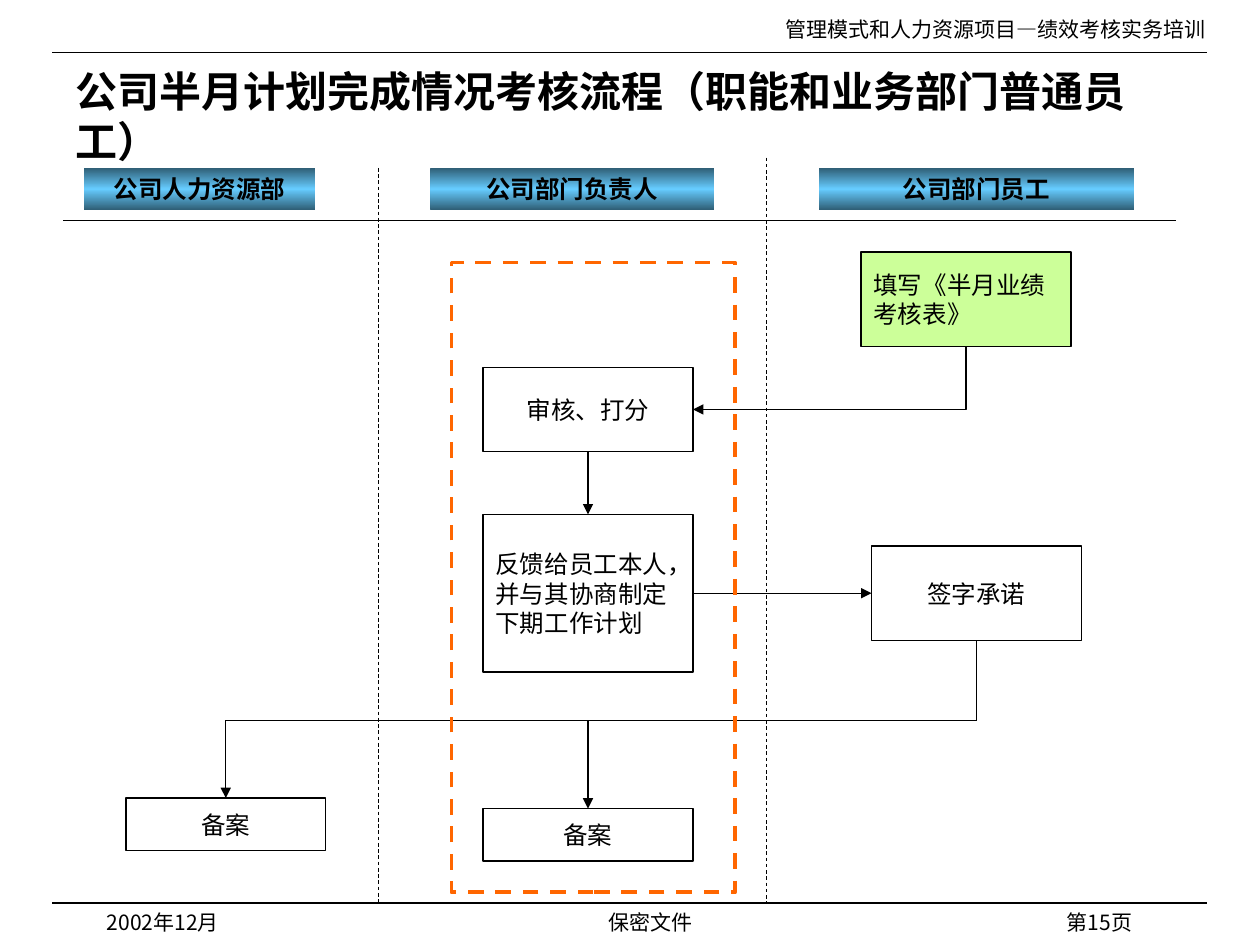
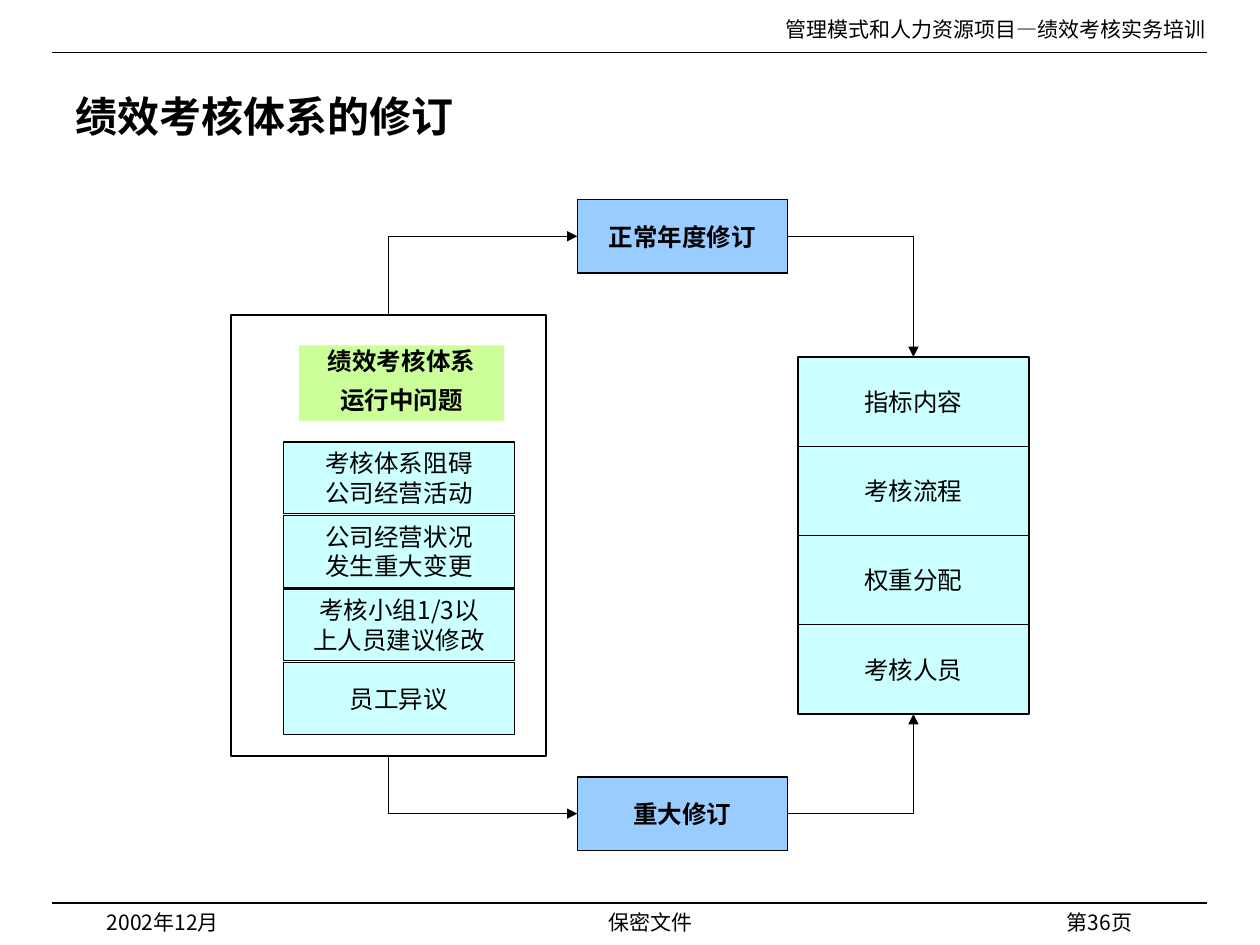
from copy import deepcopy

from lxml.etree import SubElement
from pptx import Presentation
from pptx.dml.color import RGBColor
from pptx.enum.dml import MSO_LINE
from pptx.enum.shapes import MSO_CONNECTOR, MSO_SHAPE
from pptx.enum.text import MSO_ANCHOR, PP_ALIGN
from pptx.oxml.ns import qn
from pptx.util import Inches, Pt

COLORS = {
    "ink": "000000", "green": "CCFF99", "cyan": "CCFFFF", "blue": "99CCFF",
    "band_edge": "2F5E75", "band_middle": "66CCFF", "orange": "FF6600",
}
SERIF, SANS = "Times New Roman", "Noto Sans CJK SC"
LEFT, CENTER, RIGHT = PP_ALIGN.LEFT, PP_ALIGN.CENTER, PP_ALIGN.RIGHT
TOP_SITE, LEFT_SITE, BOTTOM_SITE, RIGHT_SITE = range(4)
COLUMNS, ROWS = 120, 90
WIDTH, HEIGHT = Inches(10), Inches(7.5)

HEADER = "管理模式和人力资源项目—绩效考核实务培训"
DATE, NOTICE = "2002年12月", "保密文件"
TITLE_AREA = (6, 7, 107, 8)
FRAME_RULES = [(5, 5, 115, 5), (5, 86, 115, 86)]

PROCESS = {
    "title": "公司半月计划完成情况考核流程（职能和业务部门普通员工）",
    "page": 15,
    "lanes": [
        ("公司人力资源部", (8, 16, 22, 4)),
        ("公司部门负责人", (41, 16, 27, 4)),
        ("公司部门员工", (78, 16, 30, 4)),
    ],
    "lane_rule": (6, 21, 112, 21),
    "dividers": [(36, 16, 36, 86), (73, 15, 73, 86)],
    "steps": {
        "form": ("填写《半月业绩考核表》", (82, 24, 20, 9), LEFT, "green"),
        "review": ("审核、打分", (46, 35, 20, 8), CENTER, None),
        "feedback": ("反馈给员工本人，并与其协商制定下期工作计划", (46, 49, 20, 15), LEFT, None),
        "signature": ("签字承诺", (83, 52, 20, 9), CENTER, None),
        "staff_file": ("备案", (12, 76, 19, 5), CENTER, None),
        "head_file": ("备案", (46, 77, 20, 5), CENTER, None),
    },
    "arrows": [
        ("form", BOTTOM_SITE, "review", RIGHT_SITE),
        ("review", BOTTOM_SITE, "feedback", TOP_SITE),
        ("feedback", RIGHT_SITE, "signature", LEFT_SITE),
        ("signature", BOTTOM_SITE, "staff_file", TOP_SITE),
        ("signature", BOTTOM_SITE, "head_file", TOP_SITE),
    ],
    "bus_row": 68.6,
    "focus": (43, 25, 27, 60),
}

REVISION = {
    "title": "绩效考核体系的修订",
    "page": 36,
    "contents": ["指标内容", "考核流程", "权重分配", "考核人员"],
    "contents_area": (76, 34, 22, 8.5),
    "revisions": {
        "annual": ("正常年度修订", (55, 19, 20, 7)),
        "major": ("重大修订", (55, 74, 20, 7)),
    },
    "problem_frame": (22, 30, 30, 42),
    "problem_title": ["绩效考核体系", "运行中问题"],
    "problem_title_area": (28.5, 32.9, 19.5, 7.2),
    "problems": [
        ["考核体系阻碍", "公司经营活动"],
        ["公司经营状况", "发生重大变更"],
        ["考核小组1/3以", "上人员建议修改"],
        ["员工异议"],
    ],
    "problem_area": (27, 42.1, 22, 6.83),
    "problem_step": 7,
    "arrows": [
        ("problems", BOTTOM_SITE, "major", LEFT_SITE),
        ("major", RIGHT_SITE, "last_content", BOTTOM_SITE),
        ("problems", TOP_SITE, "annual", LEFT_SITE),
        ("annual", RIGHT_SITE, "first_content", TOP_SITE),
    ],
}


def color(name):
    return RGBColor.from_string(COLORS[name])


def place(*cells):
    return [int(cell * (HEIGHT / ROWS if index % 2 else WIDTH / COLUMNS))
            for index, cell in enumerate(cells)]


def write(shape, lines, size, font=SERIF, bold=False, align=LEFT, anchor=MSO_ANCHOR.MIDDLE):
    frame = shape.text_frame
    frame.word_wrap = True
    frame.vertical_anchor = anchor
    for index, line in enumerate(lines):
        paragraph = frame.add_paragraph() if index else frame.paragraphs[0]
        paragraph.alignment = align
        run = paragraph.add_run()
        run.text = line
        run.font.name = font
        run.font.size = Pt(size)
        run.font.bold = bold
        run.font.color.rgb = color("ink")
        SubElement(run.font._element, qn("a:ea")).set("typeface", SANS)
    return frame


def add_box(slide, area, fill=None, line="ink", line_width=0.75):
    shape = slide.shapes.add_shape(MSO_SHAPE.RECTANGLE, *place(*area))
    shape.shadow.inherit = False
    if fill:
        shape.fill.solid()
        shape.fill.fore_color.rgb = color(fill)
    else:
        shape.fill.background()
    if line:
        shape.line.color.rgb = color(line)
        shape.line.width = Pt(line_width)
    else:
        shape.line.fill.background()
    return shape


def add_label(slide, text, area, align, font=SANS):
    box = slide.shapes.add_textbox(*place(*area))
    write(box, [text], 12, font, align=align, anchor=MSO_ANCHOR.TOP)


def style_connector(connector, width=0.75):
    connector.line.color.rgb = color("ink")
    connector.line.width = Pt(width)
    SubElement(connector._element.spPr, qn("a:effectLst"))


def add_rule(slide, ends, width=0.75, dash=None):
    rule = slide.shapes.add_connector(MSO_CONNECTOR.STRAIGHT, *place(*ends))
    style_connector(rule, width)
    if dash:
        rule.line.dash_style = dash


def turn_downward(connector, bus):
    start, drop = connector.begin_y, connector.height
    span = connector.width
    middle_x, middle_y = connector.left + span // 2, connector.top + drop // 2
    transform = connector._element.spPr.find(qn("a:xfrm"))
    for flip in ("flipH", "flipV"):
        transform.attrib.pop(flip, None)
    connector.left, connector.top = middle_x - drop // 2, middle_y - span // 2
    connector.width, connector.height = drop, span
    connector.rotation = 90
    geometry = connector._element.spPr.find(qn("a:prstGeom"))
    guides = geometry.find(qn("a:avLst"))
    if guides is None:
        guides = SubElement(geometry, qn("a:avLst"))
    guide = SubElement(guides, qn("a:gd"))
    guide.set("name", "adj1")
    guide.set("fmla", f"val {round((bus - start) / drop * 100000)}")


def add_arrow(slide, source, source_site, target, target_site, bus=0):
    sideways = (LEFT_SITE, RIGHT_SITE)
    corner = (source_site in sideways) != (target_site in sideways)
    backward = corner and target_site in sideways
    ends = [(source, source_site), (target, target_site)]
    if backward:
        ends.reverse()
    connector = slide.shapes.add_connector(MSO_CONNECTOR.STRAIGHT, 0, 0, 0, 0)
    connector.begin_connect(*ends[0])
    connector.end_connect(*ends[1])
    geometry = connector._element.spPr.find(qn("a:prstGeom"))
    if corner:
        geometry.set("prst", "bentConnector2")
    elif min(connector.width, connector.height) > Pt(1):
        geometry.set("prst", "bentConnector3")
        turn_downward(connector, bus)
    style_connector(connector)
    head = SubElement(connector.line._get_or_add_ln(), qn("a:headEnd" if backward else "a:tailEnd"))
    head.set("type", "triangle")


def add_lane(slide, text, area):
    lane = add_box(slide, area, line=None)
    lane.fill.gradient()
    stops = lane._element.spPr.find(f".//{qn('a:gsLst')}")
    stops.append(deepcopy(stops[0]))
    shades = ["band_edge", "band_middle", "band_edge"]
    for index, stop in enumerate(lane.fill.gradient_stops):
        stop.position = index / 2
        stop.color.rgb = color(shades[index])
    lane.fill.gradient_angle = 90
    write(lane, [text], 14, SANS, True, CENTER)


def start_slide(presentation, content):
    slide = presentation.slides.add_slide(presentation.slide_layouts[5])
    title = slide.shapes.title
    title.left, title.top, title.width, title.height = place(*TITLE_AREA)
    write(title, [content["title"]], 24, bold=True)
    for rule in FRAME_RULES:
        add_rule(slide, rule)
    add_label(slide, HEADER, (60, 1, 56, 3.6), RIGHT, SERIF)
    add_label(slide, DATE, (9, 86, 25, 3), LEFT)
    add_label(slide, NOTICE, (35, 86, 54, 3), CENTER)
    add_label(slide, f"第{content['page']}页", (84, 86, 25, 2), RIGHT)
    return slide


def build_process(presentation):
    slide = start_slide(presentation, PROCESS)
    add_rule(slide, PROCESS["lane_rule"])
    for lane in PROCESS["lanes"]:
        add_lane(slide, *lane)
    for divider in PROCESS["dividers"]:
        add_rule(slide, divider, 0.5, MSO_LINE.DASH)
    steps = {}
    for name, (text, area, align, fill) in PROCESS["steps"].items():
        steps[name] = add_box(slide, area, fill)
        write(steps[name], [text], 14, align=align)
    bus = place(0, PROCESS["bus_row"])[1]
    for source, source_site, target, target_site in PROCESS["arrows"]:
        add_arrow(slide, steps[source], source_site, steps[target], target_site, bus)
    focus = add_box(slide, PROCESS["focus"], line="orange", line_width=2.25)
    focus.line.dash_style = MSO_LINE.DASH


def add_stack(slide, items, area, step):
    left, top, width, height = area
    boxes = []
    for index, lines in enumerate(items):
        box = add_box(slide, (left, top + index * step, width, height), "cyan")
        write(box, lines, 14, SANS, align=CENTER)
        boxes.append(box)
    return boxes


def build_revision(presentation):
    slide = start_slide(presentation, REVISION)
    area = REVISION["contents_area"]
    contents = add_stack(slide, [[text] for text in REVISION["contents"]], area, area[3])
    nodes = {"first_content": contents[0], "last_content": contents[-1]}
    for name, (text, place_on_grid) in REVISION["revisions"].items():
        nodes[name] = add_box(slide, place_on_grid, "blue")
        write(nodes[name], [text], 14, bold=True, align=CENTER)
    nodes["problems"] = add_box(slide, REVISION["problem_frame"])
    heading = add_box(slide, REVISION["problem_title_area"], "green", None)
    frame = write(heading, REVISION["problem_title"], 14, SERIF, True, CENTER, MSO_ANCHOR.TOP)
    for paragraph in frame.paragraphs:
        paragraph.line_spacing = 0.8
    frame.paragraphs[1].space_before = Pt(8.8)
    add_stack(slide, REVISION["problems"], REVISION["problem_area"], REVISION["problem_step"])
    for source, source_site, target, target_site in REVISION["arrows"]:
        add_arrow(slide, nodes[source], source_site, nodes[target], target_site)


def main():
    presentation = Presentation()
    presentation.slide_width, presentation.slide_height = WIDTH, HEIGHT
    build_process(presentation)
    build_revision(presentation)
    presentation.save("out.pptx")


if __name__ == "__main__":
    main()
